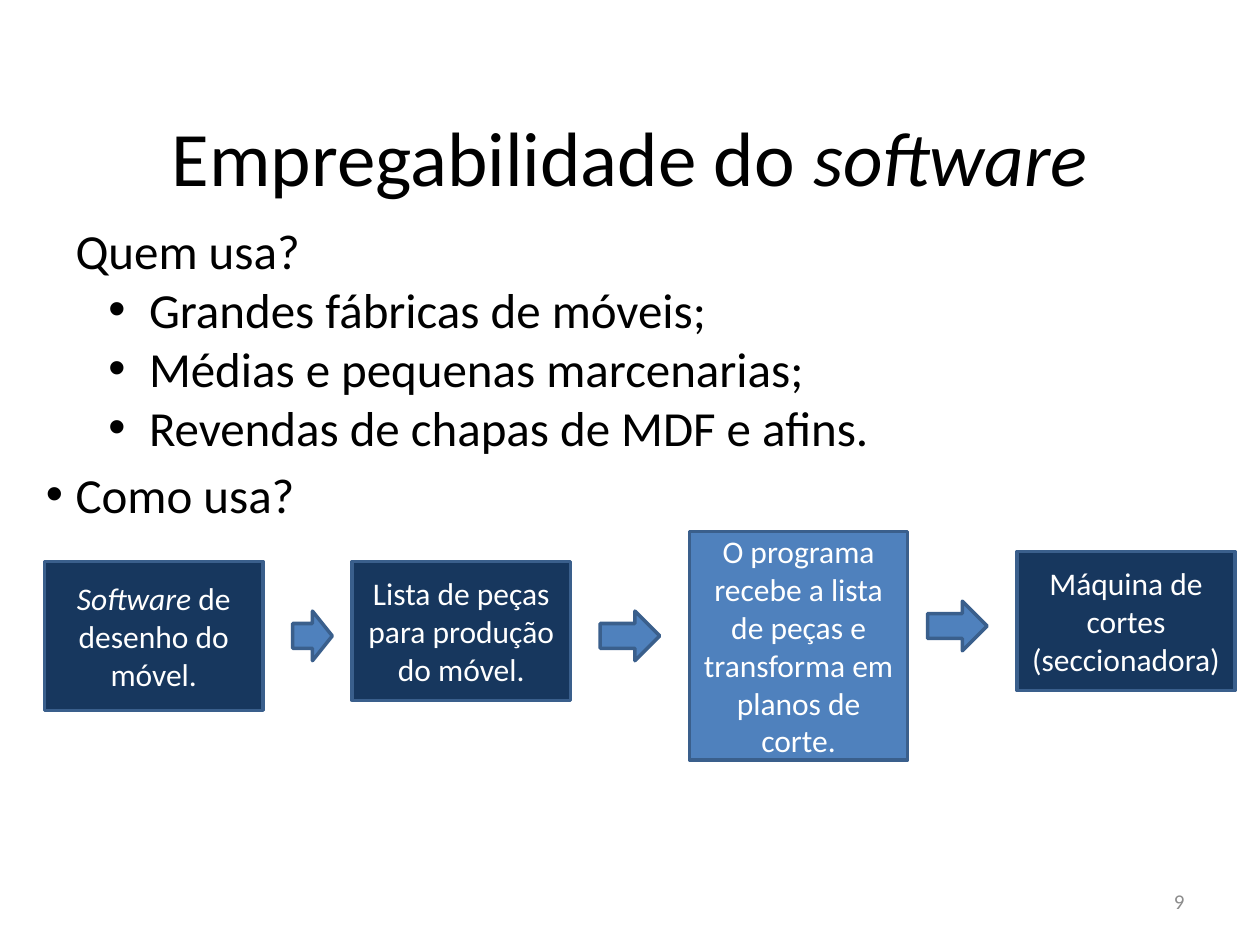
from lxml import etree
from pptx import Presentation, util as u
from pptx.dml.color import RGBColor
from pptx.enum import shapes, text
from pptx.oxml.ns import qn

BLACK = RGBColor(0x00, 0x00, 0x00)
WHITE = RGBColor(0xFF, 0xFF, 0xFF)
GRAY = RGBColor(0x8C, 0x8C, 0x8C)
NAVY = RGBColor(0x17, 0x37, 0x5E)
BLUE = RGBColor(0x4F, 0x81, 0xBD)
EDGE = RGBColor(0x3A, 0x5F, 0x8C)
FONT = "Calibri"

TITLE = [("Empregabilidade do ", False), ("software", True)]
TITLE_AREA = (1.27, 1.55, 22.86, 3.18)
BODY_AREA = (0, 4.32, 25.4, 14.27)
NUMBER_AREA = (18.21, 17.65, 5.92, 1.02)

BODY = [
    ("Quem usa?", 1, False, 1.27, 0),
    ("Grandes fábricas de móveis;", 2, True, 2.75, 0),
    ("Médias e pequenas marcenarias;", 2, True, 2.75, 0),
    ("Revendas de chapas de MDF e afins.", 2, True, 2.75, 0),
    ("Como usa?", 1, True, 1.27, 5),
]
HANGING = {1: 0.6, 2: 0.82}

STEP_WIDTH = 4.4
STEPS = [
    ([("Software", True), (" de desenho do móvel.", False)], 0.9, 11.32, 3.0, NAVY),
    ([("Lista de peças para produção do móvel.", False)], 7.1, 11.32, 2.8, NAVY),
    ([("O programa recebe a lista de peças e transforma em planos de corte.", False)],
     13.9, 10.72, 4.6, BLUE),
    ([("Máquina de cortes (seccionadora)", False)], 20.5, 11.12, 2.8, NAVY),
]
ARROW_HEIGHT = 1.0
ARROWS = [(5.9, 12.32, 0.8), (12.1, 12.32, 1.2), (18.7, 12.12, 1.2)]


def place(box, area):
    box.left, box.top, box.width, box.height = map(u.Cm, area)


def write(para, spans, size, color, align):
    para.alignment = align
    para.font.name = FONT
    para.font.size = u.Pt(size)
    para.font.color.rgb = color
    for words, italic in spans:
        span = para.add_run()
        span.text = words
        if italic:
            span.font.italic = True


def set_bullet(para, bulleted, margin, hanging):
    props = para._p.get_or_add_pPr()
    props.set("marL", str(u.Cm(margin)))
    props.set("indent", str(-u.Cm(hanging) if bulleted else 0))
    if bulleted:
        font = etree.SubElement(props, qn("a:buFont"))
        font.set("typeface", "Arial")
        etree.SubElement(props, qn("a:buChar")).set("char", "•")
    else:
        etree.SubElement(props, qn("a:buNone"))


def add_block(page, kind, area, fill):
    block = page.shapes.add_shape(kind, *map(u.Cm, area))
    block.shadow.inherit = False
    block.fill.solid()
    block.fill.fore_color.rgb = fill
    block.line.color.rgb = EDGE
    block.line.width = u.Pt(2)
    return block


def main():
    deck = Presentation()
    deck.slide_width, deck.slide_height = u.Cm(25.4), u.Cm(19.05)
    page = deck.slides.add_slide(deck.slide_layouts[1])

    title = page.shapes.title
    place(title, TITLE_AREA)
    title.text_frame.vertical_anchor = text.MSO_ANCHOR.MIDDLE
    write(title.text_frame.paragraphs[0], TITLE, 44, BLACK, text.PP_ALIGN.CENTER)

    body = page.placeholders[1]
    place(body, BODY_AREA)
    frame = body.text_frame
    frame.auto_size = text.MSO_AUTO_SIZE.NONE
    for index, (words, level, bulleted, margin, before) in enumerate(BODY):
        para = frame.add_paragraph() if index else frame.paragraphs[0]
        para.level = level - 1
        para.space_before = u.Pt(before)
        set_bullet(para, bulleted, margin, HANGING[level])
        write(para, [(words, False)], 28, BLACK, text.PP_ALIGN.LEFT)

    number = page.shapes.add_textbox(*map(u.Cm, NUMBER_AREA))
    number.text_frame.word_wrap = True
    number.text_frame.vertical_anchor = text.MSO_ANCHOR.MIDDLE
    write(number.text_frame.paragraphs[0], [("9", False)], 12, GRAY, text.PP_ALIGN.RIGHT)

    for spans, left, top, height, fill in STEPS:
        step = add_block(page, shapes.MSO_SHAPE.RECTANGLE,
                         (left, top, STEP_WIDTH, height), fill)
        step.text_frame.word_wrap = True
        step.text_frame.vertical_anchor = text.MSO_ANCHOR.MIDDLE
        write(step.text_frame.paragraphs[0], spans, 18, WHITE, text.PP_ALIGN.CENTER)

    for left, top, width in ARROWS:
        add_block(page, shapes.MSO_SHAPE.RIGHT_ARROW,
                  (left, top, width, ARROW_HEIGHT), BLUE)

    deck.save("out.pptx")


if __name__ == "__main__":
    main()
